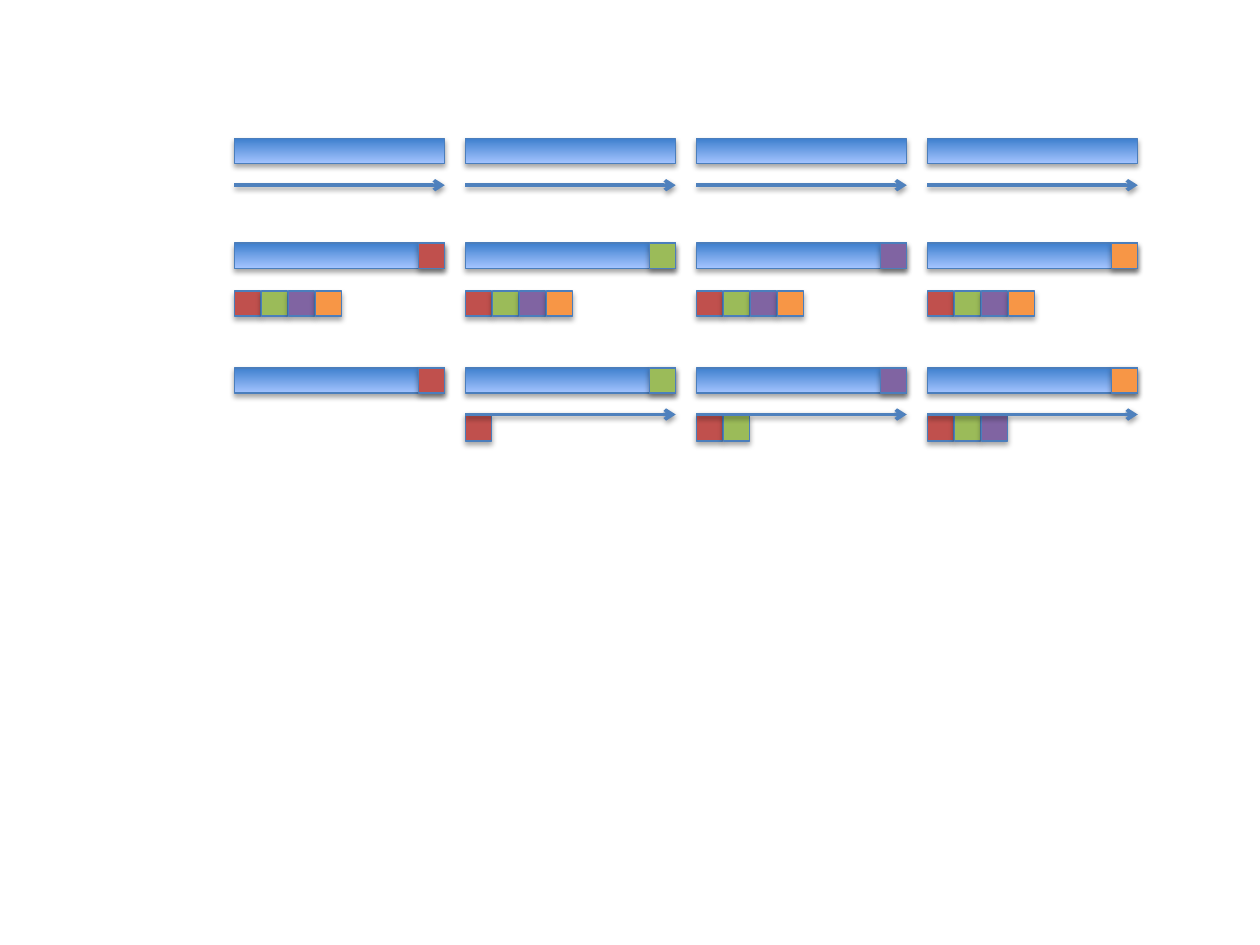
import pptx
import pptx.dml.color
import pptx.enum.shapes
import pptx.oxml
import pptx.oxml.ns
import pptx.util
from pptx.util import Inches

COLUMN_LEFTS = [1.86 + column * 5.5 / 3 for column in range(4)]
BAR_WIDTH = 1.67
BLOCK_WIDTH = 0.21
BLOCK_PITCH = 0.214
HEIGHT = 0.2
RED, GREEN, PURPLE, ORANGE = BLOCK_COLORS = ["C0504D", "9BBB59", "8064A2", "F79646"]
OUTLINE = "4B7EBC"
ARROW_COLOR = "4F81BD"
BAR_TOP_COLOR, BAR_BOTTOM_COLOR = "3F80CE", "A4C4FF"


def rgb(hex_color):
    return pptx.dml.color.RGBColor.from_string(hex_color)


def add_shadow(item, distance, opacity):
    """Cast a soft black shadow downwards; distance in points, opacity in percent."""
    item._element.spPr.append(pptx.oxml.parse_xml(
        f'<a:effectLst {pptx.oxml.ns.nsdecls("a")}>'
        f'<a:outerShdw blurRad="{pptx.util.Pt(3.1)}" dist="{pptx.util.Pt(distance)}" '
        'dir="5400000" rotWithShape="0">'
        f'<a:srgbClr val="000000"><a:alpha val="{opacity * 1000}"/></a:srgbClr>'
        '</a:outerShdw></a:effectLst>'))


def add_rectangle(slide, left, top, width, *colors):
    """One colour fills the rectangle; two make a gradient from top to bottom."""
    rectangle = slide.shapes.add_shape(
        pptx.enum.shapes.MSO_SHAPE.RECTANGLE,
        Inches(left), Inches(top), Inches(width), Inches(HEIGHT))
    if len(colors) == 1:
        rectangle.fill.solid()
        rectangle.fill.fore_color.rgb = rgb(colors[0])
    else:
        rectangle.fill.gradient()
        rectangle.fill.gradient_angle = 270
        for stop, color in zip(rectangle.fill.gradient_stops, colors):
            stop.color.rgb = rgb(color)
    rectangle.line.color.rgb = rgb(OUTLINE)
    rectangle.line.width = pptx.util.Pt(0.75)
    add_shadow(rectangle, 1.8, 35)


def add_arrow(slide, left, y):
    arrow = slide.shapes.add_connector(
        pptx.enum.shapes.MSO_CONNECTOR.STRAIGHT,
        Inches(left), Inches(y), Inches(left + BAR_WIDTH), Inches(y))
    arrow.line.color.rgb = rgb(ARROW_COLOR)
    arrow.line.width = pptx.util.Pt(2)
    arrow.line._get_or_add_ln().append(pptx.oxml.parse_xml(
        f'<a:tailEnd {pptx.oxml.ns.nsdecls("a")} type="arrow"/>'))
    add_shadow(arrow, 1.6, 38)


def add_bar(slide, left, top):
    add_rectangle(slide, left, top, BAR_WIDTH, BAR_TOP_COLOR, BAR_BOTTOM_COLOR)


def add_tagged_bar(slide, left, top, tag_color):
    add_bar(slide, left, top)
    add_rectangle(slide, left + BAR_WIDTH - BLOCK_WIDTH, top, BLOCK_WIDTH, tag_color)


def add_blocks(slide, left, top, colors):
    for position, color in enumerate(colors):
        add_rectangle(slide, left + position * BLOCK_PITCH, top, BLOCK_WIDTH, color)


def main():
    presentation = pptx.Presentation()
    presentation.slide_width = Inches(10)
    presentation.slide_height = Inches(7.5)
    slide = presentation.slides.add_slide(presentation.slide_layouts[6])

    for column, left in enumerate(COLUMN_LEFTS):
        tag_color = BLOCK_COLORS[column]
        add_arrow(slide, left, 1.47)
        add_bar(slide, left, 1.1)

        add_tagged_bar(slide, left, 1.93, tag_color)
        add_blocks(slide, left, 2.31, BLOCK_COLORS)

        # Each later column gathers the blocks of the columns before it.
        add_tagged_bar(slide, left, 2.92, tag_color)
        add_blocks(slide, left, 3.3, BLOCK_COLORS[:column])
        if column > 0:
            add_arrow(slide, left, 3.29)

    presentation.save("out.pptx")


if __name__ == "__main__":
    main()
